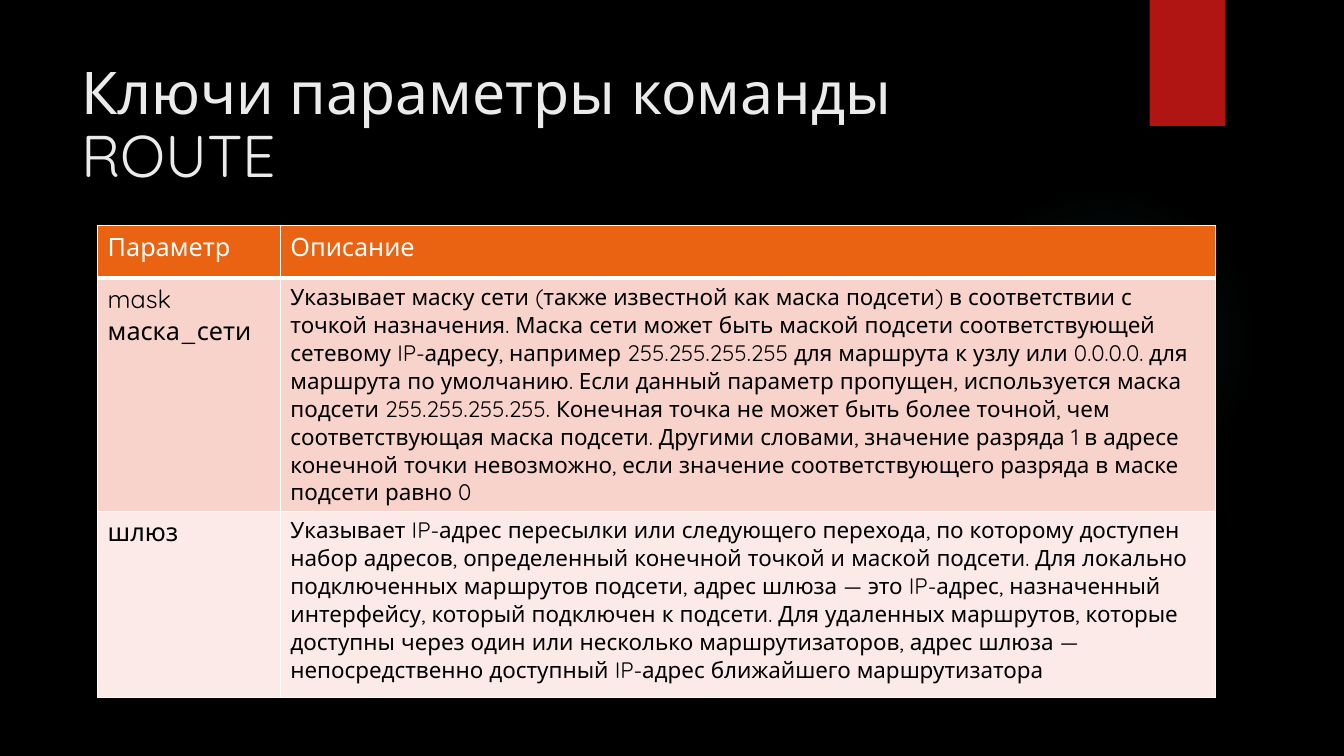
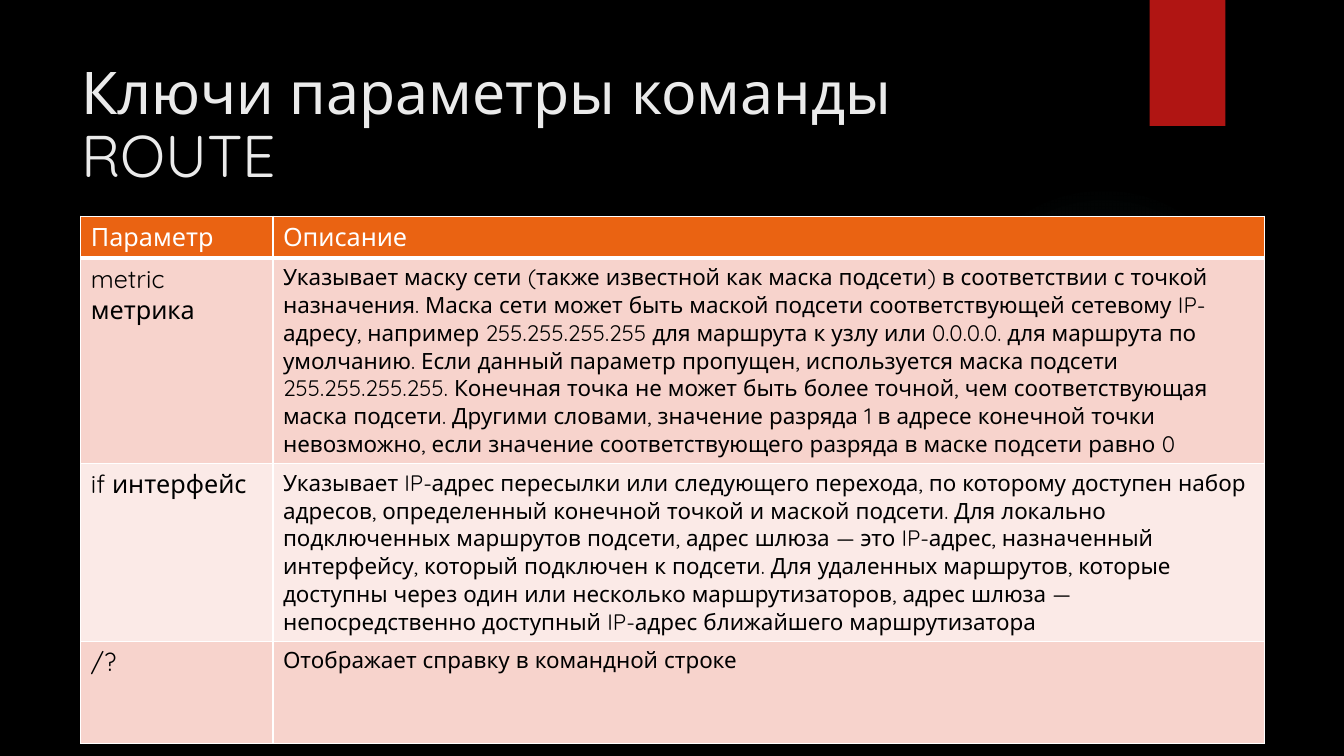
from lxml import etree
from pptx import Presentation
from pptx import util as u
from pptx.dml.color import RGBColor
from pptx.enum import shapes, text
from pptx.oxml import parse_xml
from pptx.oxml.ns import nsdecls, qn

PX = 9525
FONT = "Quicksand"
BLACK = RGBColor(0x00, 0x00, 0x00)
WHITE = RGBColor(0xFF, 0xFF, 0xFF)
TITLE_COLOR = RGBColor(0xEB, 0xEB, 0xEB)
RED = RGBColor(0xB0, 0x15, 0x13)
GLOW = RGBColor(0x50, 0xB9, 0xC1)
ORANGE = RGBColor(0xEA, 0x63, 0x12)
BANDS = [RGBColor(0xF7, 0xD3, 0xCC), RGBColor(0xFB, 0xEA, 0xE7)]
GLOW_STOPS = [(0, 7), (36, 6), (69, 0)]

TITLE = "Ключи параметры команды ROUTE"
HEADER = ("Параметр", "Описание")
MASK_TEXT = (
    "Указывает маску сети (также известной как маска подсети) в соответствии с точкой "
    "назначения. Маска сети может быть маской подсети соответствующей сетевому IP-адресу, "
    "например 255.255.255.255 для маршрута к узлу или 0.0.0.0. для маршрута по умолчанию. "
    "Если данный параметр пропущен, используется маска подсети 255.255.255.255. Конечная "
    "точка не может быть более точной, чем соответствующая маска подсети. Другими словами, "
    "значение разряда 1 в адресе конечной точки невозможно, если значение соответствующего "
    "разряда в маске подсети равно 0"
)
GATEWAY_TEXT = (
    "Указывает IP-адрес пересылки или следующего перехода, по которому доступен набор "
    "адресов, определенный конечной точкой и маской подсети. Для локально подключенных "
    "маршрутов подсети, адрес шлюза — это IP-адрес, назначенный интерфейсу, который "
    "подключен к подсети. Для удаленных маршрутов, которые доступны через один или "
    "несколько маршрутизаторов, адрес шлюза — непосредственно доступный IP-адрес "
    "ближайшего маршрутизатора"
)

TABLES = [
    {
        "origin": (93, 215),
        "columns": (174, 891),
        "heights": (50, 222, 177),
        "rows": [HEADER, ("mask маска_сети", MASK_TEXT), ("шлюз", GATEWAY_TEXT)],
    },
    {
        "origin": (77, 206),
        "columns": (183, 944),
        "heights": (39, 196, 169, 97),
        "rows": [
            HEADER,
            ("metric метрика", MASK_TEXT),
            ("if интерфейс", GATEWAY_TEXT),
            ("/?", "Отображает справку в командной строке"),
        ],
    },
]


def px(*lengths):
    return [u.Emu(length * PX) for length in lengths]


def style_text(paragraph, size, color):
    font = paragraph.runs[0].font
    font.name = FONT
    font.size = u.Pt(size)
    font.bold = False
    font.color.rgb = color


presentation = Presentation()
presentation.slide_width, presentation.slide_height = px(1280, 720)

for content in TABLES:
    slide = presentation.slides.add_slide(presentation.slide_layouts[6])
    slide.background.fill.solid()
    slide.background.fill.fore_color.rgb = BLACK

    glow = slide.shapes.add_shape(shapes.MSO_SHAPE.OVAL, *px(903, 176, 296, 296))
    glow.shadow.inherit = False
    glow.line.fill.background()
    stops = "".join(
        f'<a:gs pos="{position * 1000}"><a:srgbClr val="{GLOW}">'
        f'<a:alpha val="{alpha * 1000}"/></a:srgbClr></a:gs>'
        for position, alpha in GLOW_STOPS
    )
    gradient = parse_xml(
        f'<a:gradFill {nsdecls("a")}><a:gsLst>{stops}</a:gsLst><a:path path="circle">'
        '<a:fillToRect l="50000" t="50000" r="50000" b="50000"/></a:path></a:gradFill>'
    )
    glow._element.spPr.find(qn("a:prstGeom")).addnext(gradient)

    ribbon = slide.shapes.add_shape(shapes.MSO_SHAPE.RECTANGLE, *px(1095, 0, 72, 120))
    ribbon.shadow.inherit = False
    ribbon.fill.solid()
    ribbon.fill.fore_color.rgb = RED
    ribbon.line.fill.background()

    title = slide.shapes.add_textbox(*px(68, 48, 988, 147))
    title.text_frame.text = TITLE
    title.text_frame.word_wrap = True
    title.text_frame.auto_size = text.MSO_AUTO_SIZE.TEXT_TO_FIT_SHAPE
    title.text_frame.vertical_anchor = text.MSO_ANCHOR.TOP
    style_text(title.text_frame.paragraphs[0], 42, TITLE_COLOR)

    rows, columns, heights = content["rows"], content["columns"], content["heights"]
    table = slide.shapes.add_table(
        len(rows), len(columns), *px(*content["origin"], sum(columns), sum(heights))
    ).table
    for column, width in zip(table.columns, px(*columns)):
        column.width = width
    for row, height in zip(table.rows, px(*heights)):
        row.height = height

    for row_index, row in enumerate(rows):
        is_header = row_index == 0
        for column_index, wording in enumerate(row):
            cell = table.cell(row_index, column_index)
            cell.text_frame.text = wording
            size = 16 if column_index == 1 and not is_header else 18
            style_text(cell.text_frame.paragraphs[0], size, WHITE if is_header else BLACK)
            properties = cell._tc.get_or_add_tcPr()
            for side in "LRTB":
                thick = (is_header and side == "B") or (row_index == 1 and side == "T")
                border = etree.SubElement(
                    properties, qn(f"a:ln{side}"), w=str(u.Pt(3 if thick else 1))
                )
                solid = etree.SubElement(border, qn("a:solidFill"))
                etree.SubElement(solid, qn("a:srgbClr"), val=str(WHITE))
            cell.fill.solid()
            cell.fill.fore_color.rgb = ORANGE if is_header else BANDS[(row_index - 1) % 2]

presentation.save("out.pptx")
